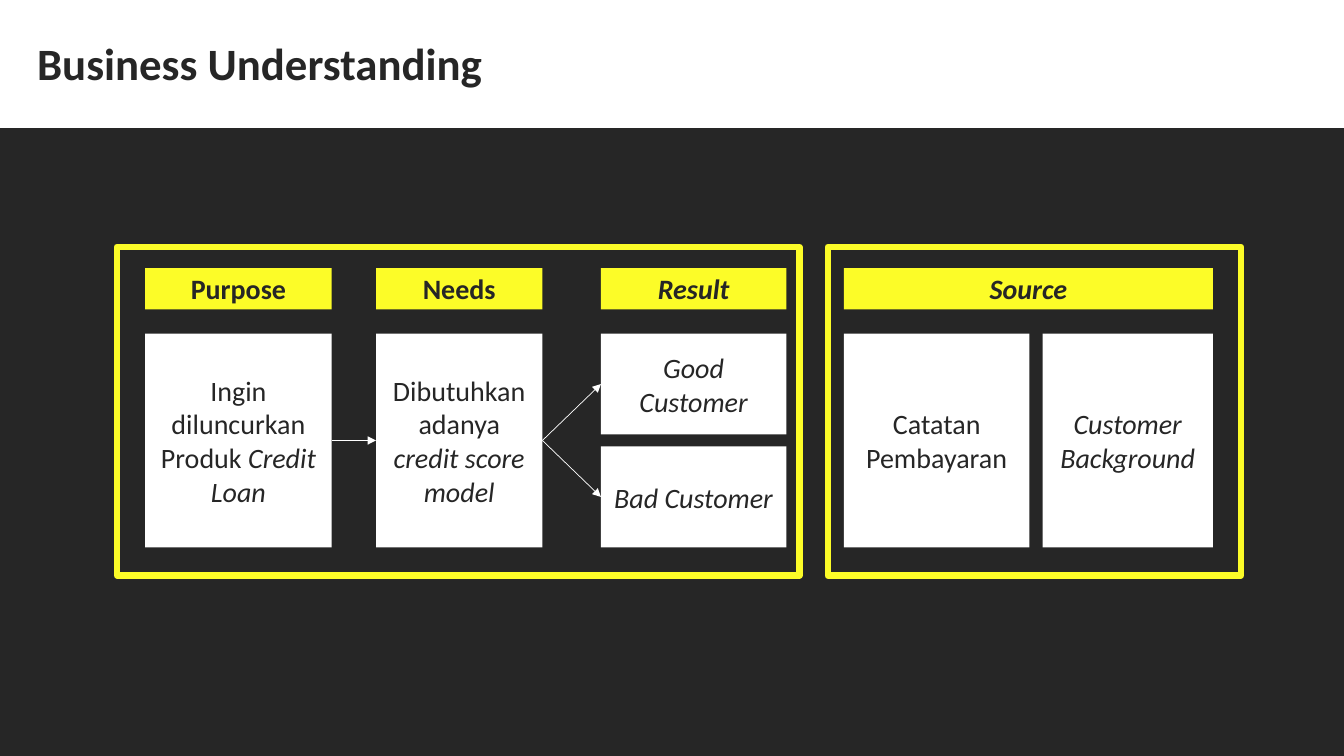
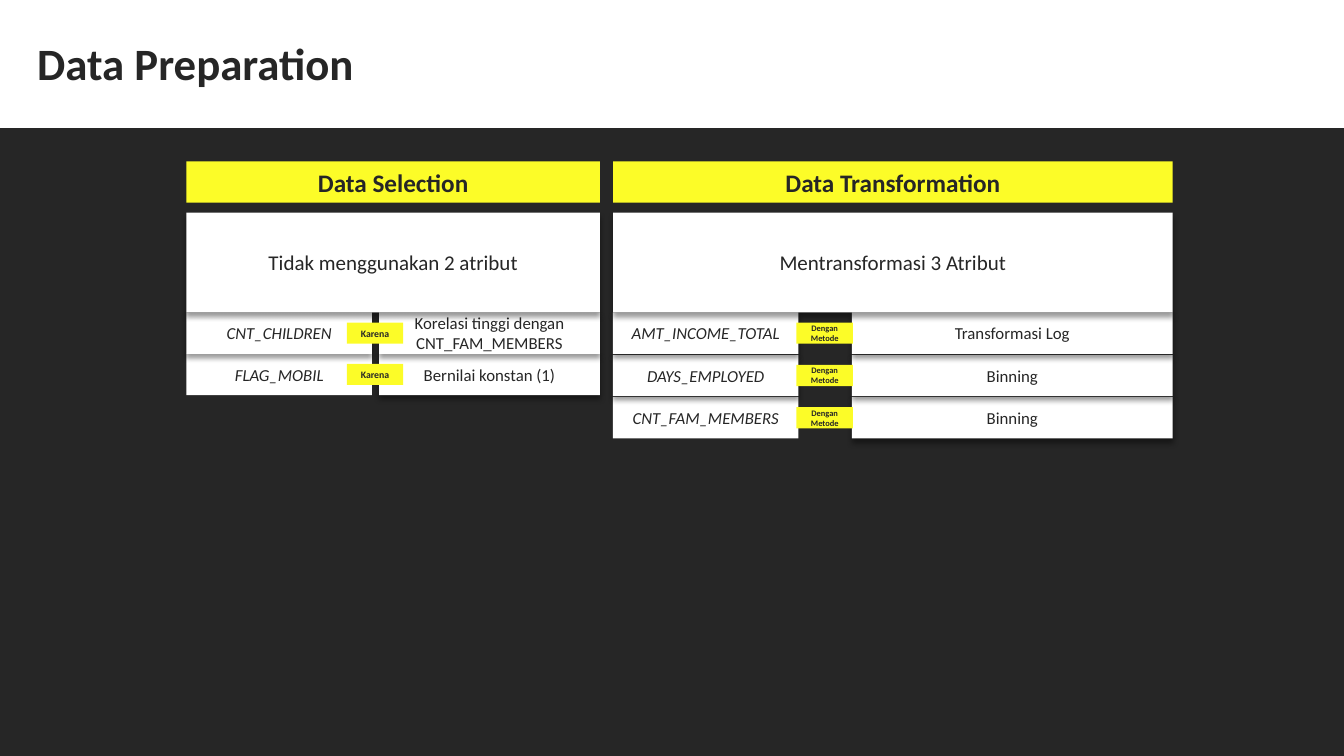
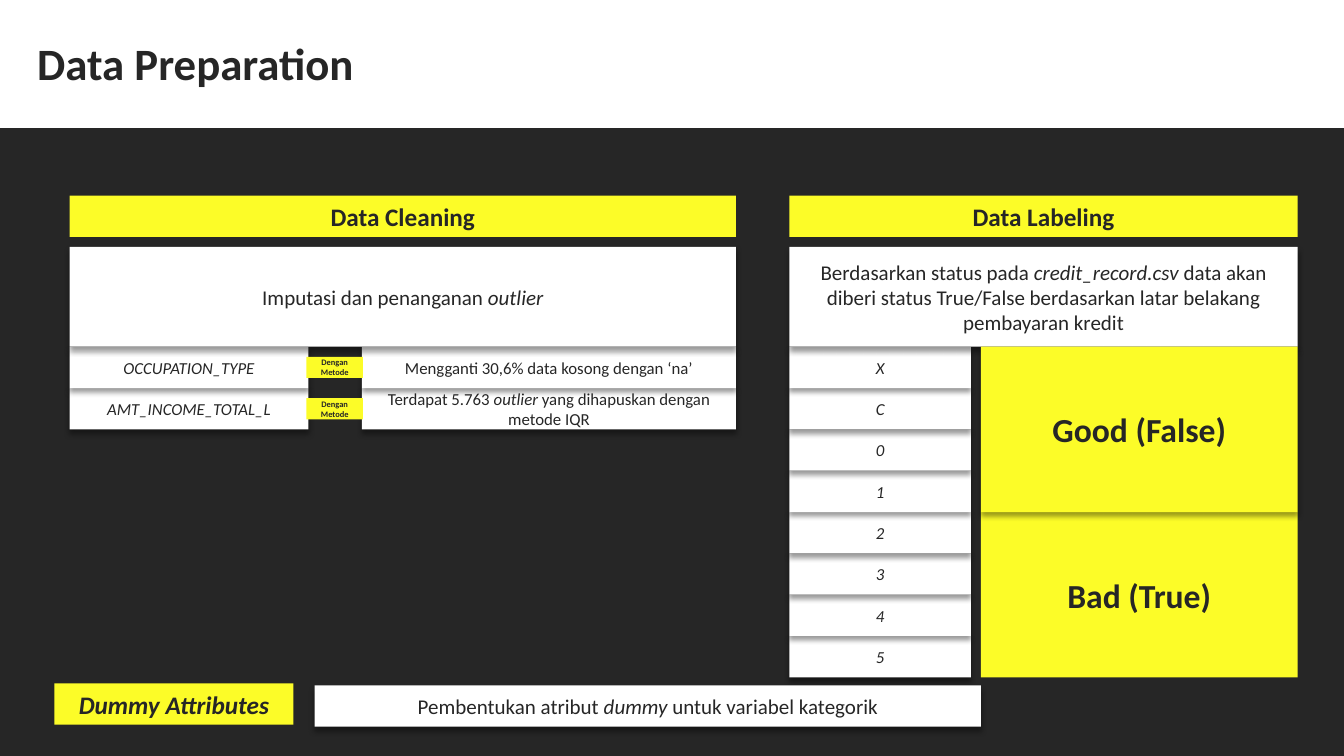
from lxml.etree import SubElement
from pptx import Presentation
from pptx.dml.color import RGBColor
from pptx.enum.shapes import MSO_CONNECTOR, MSO_SHAPE
from pptx.enum.text import MSO_ANCHOR, MSO_AUTO_SIZE, PP_ALIGN
from pptx.oxml.ns import qn
from pptx.util import Emu, Pt

SCALE = 9144  # EMU per px, 100 px to the inch
SLIDE_W, SLIDE_H = 1333, 750
COLORS = {"dark": "262626", "white": "FFFFFF", "yellow": "FCFC28", "black": "000000"}
FONT = "Calibri"

# Text formats
TITLE = {"size": Pt(32), "bold": True}
CARD = {"size": Pt(20)}
CARD_HEAD = {"size": Pt(20), "bold": True}
PANEL_HEAD = {"size": Pt(18), "bold": True}
LEAD = {"size": Pt(15)}
ROW = {"size": Pt(12)}
VERDICT = {"size": Pt(24), "bold": True}
TAG = {"size": Pt(7), "bold": True}
SMALL_TAG = {"size": Pt(6), "bold": True}

BAR_H = 41
LEAD_H = 99
LEAD_GAP = 10
TAG_W, TAG_H = 56, 21


def px(*values):
    return [Emu(v * SCALE) for v in values]


def rgb(name):
    return RGBColor.from_string(COLORS[name])


def write(tf, text, fmt, align=None):
    """Write one paragraph; words between asterisks are italic."""
    p = tf.paragraphs[0]
    p.alignment = align
    for i, part in enumerate(text.split("*")):
        if part:
            r = p.add_run()
            r.text = part
            r.font.color.rgb = rgb("dark")
            for name, value in {"name": FONT, "italic": i % 2 == 1, **fmt}.items():
                setattr(r.font, name, value)


def add_shadow(sp):
    effects = sp._element.spPr.find(qn("a:effectLst"))
    outer = SubElement(effects, qn("a:outerShdw"), blurRad=str(Pt(4)),
                       dist=str(Pt(3)), dir="5400000", algn="t", rotWithShape="0")
    color = SubElement(outer, qn("a:srgbClr"), val=COLORS["black"])
    SubElement(color, qn("a:alpha"), val="40000")


def add_box(s, box, fill, text="", fmt=CARD, shadow=False):
    sp = s.shapes.add_shape(MSO_SHAPE.RECTANGLE, *px(*box))
    sp.shadow.inherit = False
    sp.line.fill.background()
    if fill:
        sp.fill.solid()
        sp.fill.fore_color.rgb = rgb(fill)
    else:
        sp.fill.background()
    if shadow:
        add_shadow(sp)
    if text:
        tf = sp.text_frame
        tf.word_wrap = True
        tf.vertical_anchor = MSO_ANCHOR.MIDDLE
        write(tf, text, fmt, PP_ALIGN.CENTER)
    return sp


def add_arrow(s, start, end):
    """Arrow from the right side of one card to the left side of another."""
    cn = s.shapes.add_connector(MSO_CONNECTOR.STRAIGHT, 0, 0, 0, 0)
    cn.begin_connect(start, 3)
    cn.end_connect(end, 1)
    cn.line.color.rgb = rgb("white")
    cn.line.width = Pt(0.5)
    SubElement(cn.line._get_or_add_ln(), qn("a:tailEnd"), type="triangle")
    SubElement(cn._element.spPr, qn("a:effectLst"))


def new_slide(prs, title):
    """Dark slide with a white title band."""
    s = prs.slides.add_slide(prs.slide_layouts[6])
    s.background.fill.solid()
    s.background.fill.fore_color.rgb = rgb("dark")
    add_box(s, (0, -1, SLIDE_W, 128), "white")
    tf = s.shapes.add_textbox(*px(27, 31, 510, 64)).text_frame
    tf.word_wrap = False
    tf.auto_size = MSO_AUTO_SIZE.SHAPE_TO_FIT_TEXT
    write(tf, title, TITLE)
    return s


def card_frame(s, box, heads, columns):
    """Yellow frame with heading bars over columns of stacked cards."""
    x, y, w, h = box
    body_h, gap = 212, 12
    frame = add_box(s, box, None)
    frame.line.color.rgb = rgb("yellow")
    frame.line.width = Pt(4.5)
    for dx, head_w, text in heads:
        add_box(s, (x + dx, y + 21, head_w, BAR_H), "yellow", text, CARD_HEAD)
    cards = []
    for dx, card_w, texts in columns:
        card_h = (body_h - gap * (len(texts) - 1)) // len(texts)
        for i, text in enumerate(texts):
            top = y + 86 + i * (card_h + gap)
            cards.append(add_box(s, (x + dx, top, card_w, card_h), "white", text))
    return cards


def panel_head(s, x, y, w, title, lead):
    """Heading bar and lead box; drawn after the rows below them."""
    add_box(s, (x, y, w, BAR_H), "yellow", title, PANEL_HEAD)
    add_box(s, (x, y + BAR_H + LEAD_GAP, w, LEAD_H), "white", lead, LEAD, True)


def rows_top(y):
    return y + BAR_H + LEAD_GAP + LEAD_H


def pair_panel(s, box, title, lead, rows, key_w, gap, tag, tag_fmt,
               pitch=BAR_H, last_shadow=True):
    """Panel whose rows join a key and a value through a small tag."""
    x, y, w = box
    value_x = x + key_w + gap
    tag_x = x + key_w + gap // 2 - TAG_W // 2
    # Lower rows first, so that each shadow falls on the row below
    for i, (key, value) in reversed(list(enumerate(rows))):
        top = rows_top(y) + i * pitch
        add_box(s, (value_x, top, x + w - value_x, BAR_H), "white", value, ROW, True)
        add_box(s, (x, top, key_w, BAR_H), "white", f"*{key}*", ROW,
                last_shadow or i < len(rows) - 1)
    panel_head(s, x, y, w, title, lead)
    for i in range(len(rows)):
        top = rows_top(y) + i * pitch + 10
        add_box(s, (tag_x, top, TAG_W, TAG_H), "yellow", tag, tag_fmt)


def label_panel(s, box, title, lead, codes, verdicts, code_w, gap):
    """Panel whose status codes stand beside tall verdict boxes."""
    x, y, w = box
    top = rows_top(y)
    for i, code in reversed(list(enumerate(codes))):
        add_box(s, (x, top + i * BAR_H, code_w, BAR_H), "white", f"*{code}*", ROW, True)
    panel_head(s, x, y, w, title, lead)
    verdict_x = x + code_w + gap
    verdict_h = len(codes) * BAR_H // len(verdicts)
    for i, text in reversed(list(enumerate(verdicts))):
        add_box(s, (verdict_x, top + i * verdict_h, x + w - verdict_x, verdict_h),
                "yellow", text, VERDICT, i < len(verdicts) - 1)


def business_slide(prs):
    s = new_slide(prs, "Business Understanding")
    purpose, needs, good, bad = card_frame(
        s, (116, 245, 677, 326),
        [(28, 185, "Purpose"), (257, 165, "Needs"), (480, 184, "*Result*")],
        [(28, 185, ["Ingin diluncurkan Produk *Credit Loan*"]),
         (257, 165, ["Dibutuhkan adanya *credit score model*"]),
         (480, 184, ["*Good Customer*", "*Bad Customer*"])])
    for start, end in ((purpose, needs), (needs, good), (needs, bad)):
        add_arrow(s, start, end)
    card_frame(s, (821, 245, 410, 326), [(16, 366, "*Source*")],
               [(16, 184, ["Catatan Pembayaran"]),
                (213, 169, ["*Customer Background*"])])


def selection_slide(prs):
    s = new_slide(prs, "Data Preparation")
    pair_panel(s, (185, 160, 410), "Data Selection", "Tidak menggunakan 2 atribut",
               [("CNT_CHILDREN", "Korelasi tinggi dengan CNT_FAM_MEMBERS"),
                ("FLAG_MOBIL", "Bernilai konstan (1)")],
               184, 7, "Karena", TAG, last_shadow=False)
    pair_panel(s, (608, 160, 555), "Data Transformation", "Mentransformasi 3 Atribut",
               [("AMT_INCOME_TOTAL", "Transformasi Log"),
                ("DAYS_EMPLOYED", "Binning"),
                ("CNT_FAM_MEMBERS", "Binning")],
               184, 53, "Dengan Metode", SMALL_TAG, pitch=42, last_shadow=False)


def cleaning_slide(prs):
    s = new_slide(prs, "Data Preparation")
    pair_panel(s, (69, 194, 661), "Data Cleaning", "Imputasi dan penanganan *outlier*",
               [("OCCUPATION_TYPE", "Mengganti 30,6% data kosong dengan ‘na’"),
                ("AMT_INCOME_TOTAL_L",
                 "Terdapat 5.763 *outlier* yang dihapuskan dengan metode IQR")],
               237, 53, "Dengan Metode", SMALL_TAG)
    label_panel(s, (783, 194, 504), "Data Labeling",
                "Berdasarkan status pada *credit_record.csv* data akan diberi status "
                "True/False berdasarkan latar belakang pembayaran kredit",
                "XC012345", ["Good (False)", "Bad (True)"], 180, 10)
    # Dummy attributes strip
    add_box(s, (54, 678, 237, BAR_H), "yellow", "*Dummy Attributes*", PANEL_HEAD)
    add_box(s, (312, 680, 661, BAR_H), "white",
            "Pembentukan atribut *dummy* untuk variabel kategorik", LEAD, True)


def main():
    prs = Presentation()
    prs.slide_width, prs.slide_height = px(SLIDE_W, SLIDE_H)
    for build in (business_slide, selection_slide, cleaning_slide):
        build(prs)
    prs.save("out.pptx")


if __name__ == "__main__":
    main()
